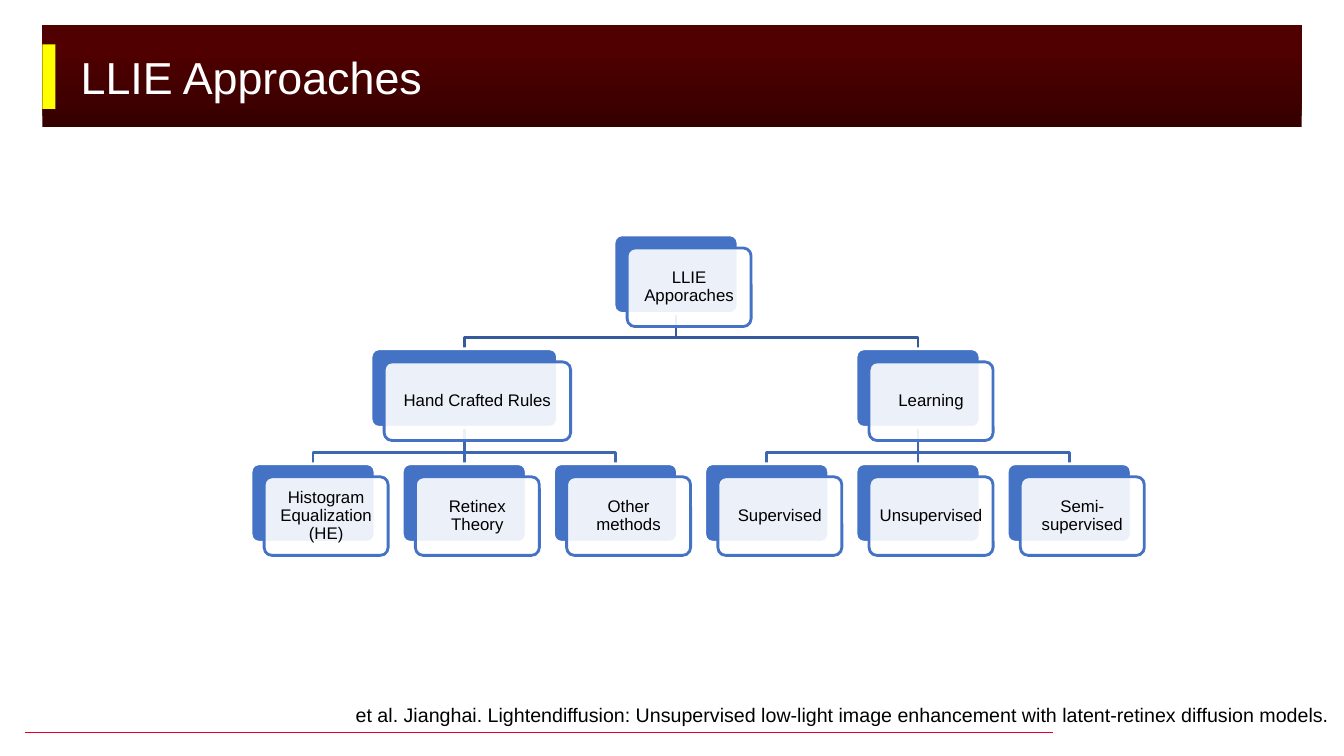
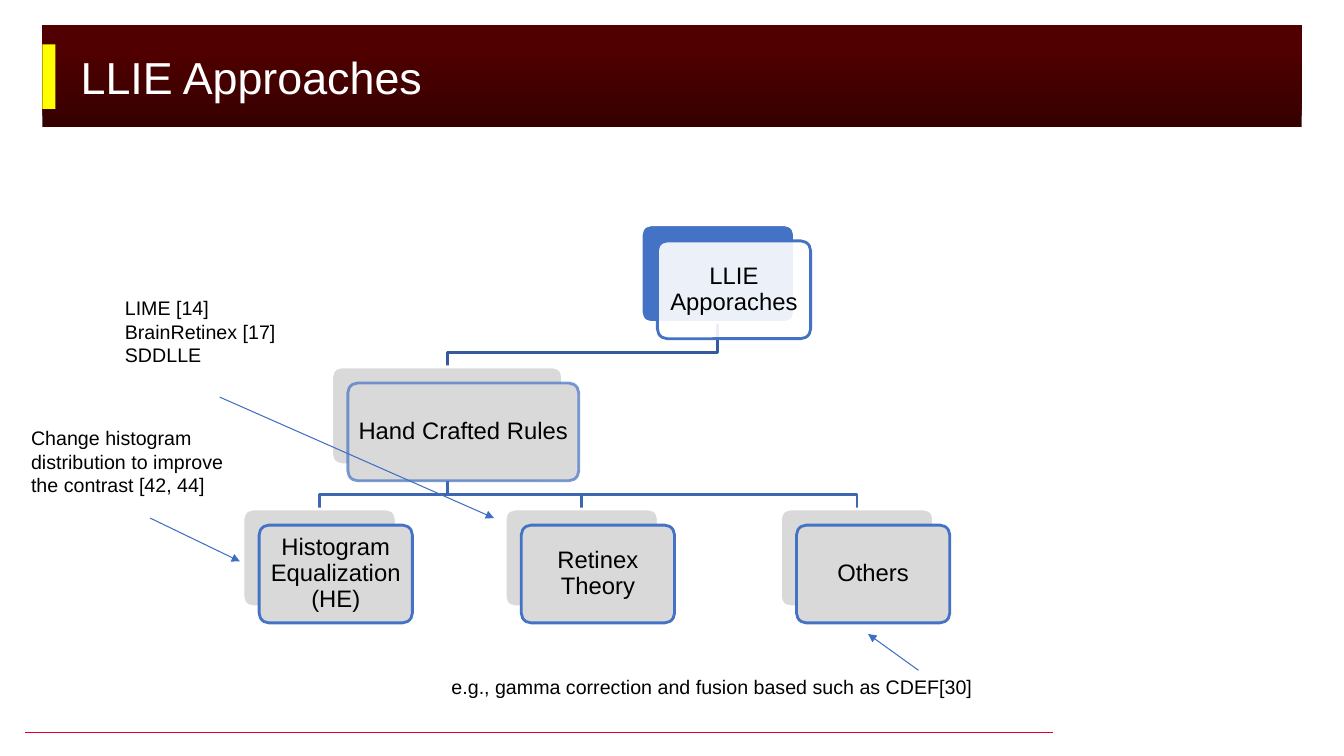
from lxml import etree
from pptx import Presentation
from pptx.dml.color import RGBColor
from pptx.enum.shapes import MSO_CONNECTOR, MSO_SHAPE
from pptx.enum.text import MSO_ANCHOR, PP_ALIGN
from pptx.oxml.ns import qn
from pptx.util import Inches, Pt

STRAIGHT = MSO_CONNECTOR.STRAIGHT
RECTANGLE, ROUNDED = MSO_SHAPE.RECTANGLE, MSO_SHAPE.ROUNDED_RECTANGLE
MIDDLE, TOP = MSO_ANCHOR.MIDDLE, MSO_ANCHOR.TOP
LEFT, CENTER = PP_ALIGN.LEFT, PP_ALIGN.CENTER

FONT = "Arial"
BLACK, WHITE, YELLOW, RED = "000000", "FFFFFF", "FFFF00", "E4002B"
BAND_DARK, BAND_LIGHT = "370000", "500000"
BLUE, GREY, ARROW = "4472C4", "D9D9D9", "3F6FC3"
BRANCH_COLORS = {1: "365B9D", 2: "3E67B2"}  # by level of the child

# Node looks: back fill, front fill, front opacity, outline opacity (percent)
ACTIVE = (BLUE, WHITE, 90, 100)
MUTED = (GREY, GREY, 100, 100)
MUTED_SOFT = (GREY, GREY, 100, 70)

# Node: label, left, level, width, index of parent, look
LEAVES = ["Histogram Equalization (HE)", "Retinex Theory", "Other methods",
          "Supervised", "Unsupervised", "Semi-supervised"]
OVERVIEW_NODES = [
    ("LLIE Apporaches", 6.09, 0, 1.23, None, ACTIVE),
    ("Hand Crafted Rules", 3.68, 1, 1.85, 0, ACTIVE),
    ("Learning", 8.49, 1, 1.23, 0, ACTIVE),
] + [(label, 2.49 + 1.5 * index, 2, 1.23, 1 + index // 3, ACTIVE)
     for index, label in enumerate(LEAVES)]

RULES_NODES = [
    ("LLIE Apporaches", 6.36, 0, 1.52, None, ACTIVE),
    ("Hand Crafted Rules", 3.29, 1, 2.29, 0, MUTED_SOFT),
    ("Histogram Equalization (HE)", 2.41, 2, 1.52, 1, MUTED),
    ("Retinex Theory", 5.01, 2, 1.52, 1, MUTED),
    ("Others", 7.74, 2, 1.52, 1, MUTED),
]

SLIDES = [
    {"title": "LLIE Approaches",
     "nodes": OVERVIEW_NODES,
     "tree": {"tops": (2.33, 3.46, 4.6), "height": 0.78, "offset": 0.13,
              "bend": 0.11, "size": 12, "margin": 0.05},
     "notes": [((3.43, 6.92, 9.9, 0.34),
                ["et al. Jianghai. Lightendiffusion: Unsupervised low-light image "
                 "enhancement with latent-retinex diffusion models."])],
     "arrows": []},
    {"title": "LLIE Approaches",
     "nodes": RULES_NODES,
     "tree": {"tops": (2.23, 3.64, 5.05), "height": 0.97, "offset": 0.16,
              "bend": 0.14, "size": 17, "margin": 0.07},
     "notes": [((1.14, 2.89, 1.91, 0.81), ["LIME [14]", "BrainRetinex [17]", "SDDLLE"]),
               ((4.38, 6.65, 5.66, 0.34),
                ["e.g., gamma correction and fusion based such as CDEF[30]"]),
               ((0.21, 4.18, 2.17, 0.81),
                ["Change histogram distribution to improve the contrast [42, 44]"])],
     "arrows": [(2.18, 3.94, 4.9, 5.14), (9.11, 6.65, 8.61, 6.29),
                (1.49, 5.14, 2.38, 5.57)]},
]


def rgb(color):
    return RGBColor.from_string(color)


def inches(values):
    return [Inches(value) for value in values]


def set_opacity(shape, color_path, percent):
    if percent < 100:
        color = shape.element.spPr.find(color_path)
        etree.SubElement(color, qn("a:alpha"), val=str(percent * 1000))


def add_box(slide, kind, place, fill, line=None):
    shape = slide.shapes.add_shape(kind, *inches(place))
    shape.shadow.inherit = False
    shape.fill.solid()
    shape.fill.fore_color.rgb = rgb(fill)
    if line:
        shape.line.color.rgb = rgb(line)
        shape.line.width = Pt(2)
    else:
        shape.line.fill.background()
    if kind == ROUNDED:
        shape.adjustments[0] = 0.1
    return shape


def add_line(slide, ends, color, width, arrow=False):
    line = slide.shapes.add_connector(STRAIGHT, *inches(ends))
    line.line.color.rgb = rgb(color)
    line.line.width = Pt(width)
    properties = line.element.spPr
    if arrow:
        etree.SubElement(properties.find(qn("a:ln")), qn("a:tailEnd"), type="triangle")
    etree.SubElement(properties, qn("a:effectLst"))
    return line


def write(shape, lines, size, color=BLACK, align=LEFT, anchor=TOP, spacing=None):
    frame = shape.text_frame
    frame.word_wrap = True
    frame.vertical_anchor = anchor
    for index, line in enumerate(lines):
        paragraph = frame.add_paragraph() if index else frame.paragraphs[0]
        paragraph.alignment = align
        paragraph.line_spacing = spacing
        run = paragraph.add_run()
        run.text = line
        run.font.name = FONT
        run.font.size = Pt(size)
        run.font.color.rgb = rgb(color)


def decorate_layout(layout, slide):
    """Draw the footer line and title band, then hand them to the layout."""
    footer = add_line(slide, (0.25, 7.27, 10.44, 7.27), RED, 1)
    band = add_box(slide, RECTANGLE, (0.42, 0.25, 12.49, 1.01), BAND_DARK)
    band.fill.gradient()
    band.fill.gradient_angle = 90
    stops = [(0.05, BAND_DARK), (0.76, BAND_LIGHT)]
    for stop, (position, color) in zip(band.fill.gradient_stops, stops):
        stop.position = position
        stop.color.rgb = rgb(color)
    accent = add_box(slide, RECTANGLE, (0.42, 0.44, 0.13, 0.64), YELLOW)
    for shape in (footer, band, accent):
        layout.shapes.element.append(shape.element)
    title = layout.placeholders[0]
    title.left, title.top, title.width, title.height = inches((0.7, 0.25, 8.41, 1.01))


def add_branch(slide, parent, child, tree):
    _, parent_left, parent_level, parent_width, _, _ = parent
    _, child_left, child_level, child_width, _, _ = child
    start_x = parent_left + parent_width / 2
    end_x = child_left + child_width / 2
    start_y = tree["tops"][parent_level] + tree["height"]
    end_y = tree["tops"][child_level]
    color = BRANCH_COLORS[child_level]
    if abs(start_x - end_x) < 0.02:
        add_line(slide, (start_x, start_y, start_x, end_y), color, 2)
        return
    bend_y = end_y - tree["bend"]
    builder = slide.shapes.build_freeform(Inches(start_x), Inches(start_y))
    corners = [(start_x, bend_y), (end_x, bend_y), (end_x, end_y)]
    builder.add_line_segments([inches(corner) for corner in corners], close=False)
    branch = builder.convert_to_shape()
    branch.shadow.inherit = False
    branch.fill.background()
    branch.line.color.rgb = rgb(color)
    branch.line.width = Pt(2)


def add_node(slide, node, tree):
    label, left, level, width, _, look = node
    back_fill, front_fill, fill_opacity, line_opacity = look
    top, height, offset = tree["tops"][level], tree["height"], tree["offset"]
    add_box(slide, ROUNDED, (left, top, width, height), back_fill, WHITE)
    front = add_box(slide, ROUNDED, (left + offset, top + offset, width, height),
                    front_fill, BLUE)
    set_opacity(front, f"{qn('a:solidFill')}/{qn('a:srgbClr')}", fill_opacity)
    set_opacity(front, f"{qn('a:ln')}/{qn('a:solidFill')}/{qn('a:srgbClr')}", line_opacity)
    frame = front.text_frame
    frame.margin_left = frame.margin_right = Inches(tree["margin"])
    frame.margin_top = frame.margin_bottom = Inches(tree["margin"])
    write(front, [label], tree["size"], align=CENTER, anchor=MIDDLE, spacing=0.9)


def fill_slide(slide, content):
    write(slide.shapes.title, [content["title"]], 32, WHITE, anchor=MIDDLE)
    nodes, tree = content["nodes"], content["tree"]
    # Branches lie behind the nodes
    for node in nodes:
        if node[4] is not None:
            add_branch(slide, nodes[node[4]], node, tree)
    for node in nodes:
        add_node(slide, node, tree)
    # Remarks and their arrows
    for place, lines in content["notes"]:
        note = slide.shapes.add_textbox(*inches(place))
        note.text_frame.margin_right = 0
        write(note, lines, 14)
    for ends in content["arrows"]:
        add_line(slide, ends, ARROW, 0.75, arrow=True)


def main():
    presentation = Presentation()
    presentation.slide_width, presentation.slide_height = inches((13.33, 7.5))
    layout = presentation.slide_layouts.get_by_name("Title Only")
    slides = [presentation.slides.add_slide(layout) for _ in SLIDES]
    decorate_layout(layout, slides[0])
    for slide, content in zip(slides, SLIDES):
        fill_slide(slide, content)
    presentation.save("out.pptx")


if __name__ == "__main__":
    main()
